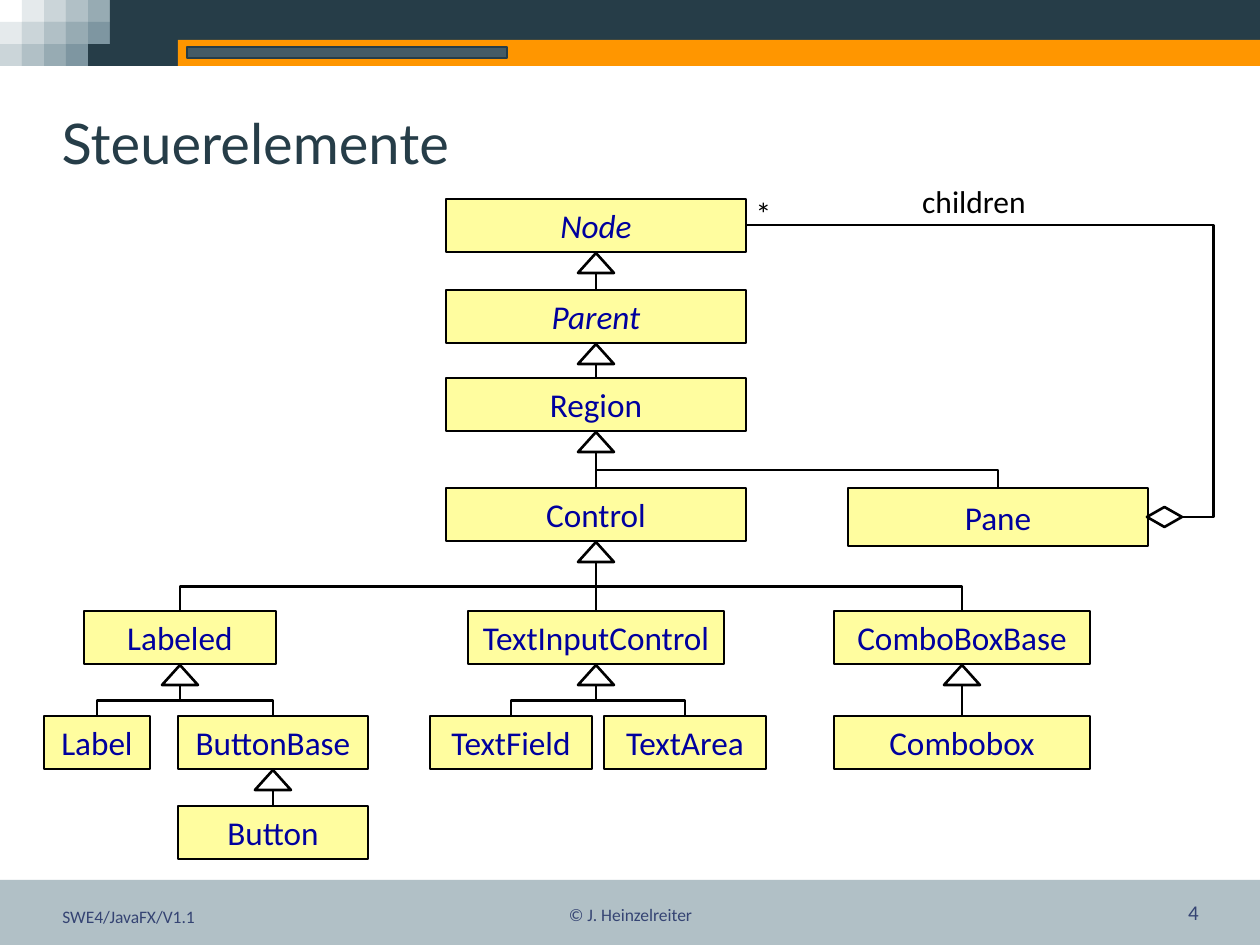
"""Builds the slide with the class hierarchy of the JavaFX controls."""
from dataclasses import dataclass
from itertools import product
from typing import Any, Optional

from lxml.etree import SubElement
from pptx import Presentation
from pptx.dml.color import RGBColor
from pptx.enum.shapes import MSO_CONNECTOR, MSO_SHAPE
from pptx.enum.text import MSO_ANCHOR, PP_ALIGN
from pptx.oxml.ns import qn
from pptx.util import Emu, Pt

EMU_PER_PX = 914400 / 126
DARK = RGBColor(0x26, 0x3D, 0x48)
STEEL = RGBColor(0x7E, 0x96, 0xA1)
SLATE = RGBColor(0x44, 0x5B, 0x66)
ORANGE = RGBColor(0xFF, 0x96, 0x00)
YELLOW = RGBColor(0xFF, 0xFD, 0x9F)
NAVY = RGBColor(0x00, 0x00, 0x9E)
FOOTER = RGBColor(0x35, 0x44, 0x73)
BLACK = RGBColor(0x00, 0x00, 0x00)
TILE = 22
ARROW_WIDTH, ARROW_HEIGHT = 36, 20
BOX_HEIGHT = 53


@dataclass(frozen=True)
class ClassBox:
    name: str
    parent: Optional[str]
    left: int
    top: int
    width: int
    height: int = BOX_HEIGHT
    abstract: bool = False

    @property
    def center(self) -> int:
        return self.left + self.width // 2

    @property
    def bottom(self) -> int:
        return self.top + self.height


@dataclass(frozen=True)
class Label:
    text: str
    left: int
    top: int
    width: int
    height: int
    size: int
    color: RGBColor
    align: PP_ALIGN = PP_ALIGN.CENTER
    anchor: MSO_ANCHOR = MSO_ANCHOR.BOTTOM
    wrap: bool = True


CLASSES = [
    ClassBox("Node", None, 446, 199, 300, abstract=True),
    ClassBox("Parent", "Node", 446, 290, 300, abstract=True),
    ClassBox("Region", "Parent", 446, 378, 300),
    ClassBox("Control", "Region", 446, 488, 300),
    ClassBox("Pane", "Region", 848, 488, 300, 58),
    ClassBox("Labeled", "Control", 84, 611, 192),
    ClassBox("TextInputControl", "Control", 468, 611, 256),
    ClassBox("ComboBoxBase", "Control", 834, 611, 256),
    ClassBox("Label", "Labeled", 44, 716, 106),
    ClassBox("ButtonBase", "Labeled", 178, 716, 190),
    ClassBox("TextField", "TextInputControl", 430, 716, 162),
    ClassBox("TextArea", "TextInputControl", 604, 716, 162),
    ClassBox("Combobox", "ComboBoxBase", 834, 716, 256),
    ClassBox("Button", "ButtonBase", 178, 806, 190),
]

LABELS = [
    Label("4", 917, 893, 294, 38, 12, FOOTER, PP_ALIGN.RIGHT),
    Label("SWE4/JavaFX/V1.1", 50, 893, 294, 40, 10, FOOTER, PP_ALIGN.LEFT),
    Label("© J. Heinzelreiter", 431, 893, 399, 38, 10, FOOTER),
    Label("children", 895, 176, 158, 50, 18, BLACK, anchor=MSO_ANCHOR.TOP),
    Label("*", 755, 188, 13, 50, 18, BLACK, anchor=MSO_ANCHOR.TOP, wrap=False),
]


def px(*lengths: float) -> list[Emu]:
    """Turn pixel lengths into EMU."""
    return [Emu(round(length * EMU_PER_PX)) for length in lengths]


def set_attributes(target: Any, values: dict[str, Any]) -> None:
    """Set each named attribute on the target."""
    for name, value in values.items():
        setattr(target, name, value)


def set_text(shape: Any, text: str, color: RGBColor, align: PP_ALIGN,
             frame_format: dict[str, Any], font_format: dict[str, Any]) -> None:
    """Write one formatted paragraph into a shape."""
    set_attributes(shape.text_frame, frame_format)
    paragraph = shape.text_frame.paragraphs[0]
    paragraph.alignment = align
    run = paragraph.add_run()
    run.text = text
    set_attributes(run.font, font_format)
    run.font.color.rgb = color


def add_block(slide: Any, kind: MSO_SHAPE, bounds: tuple[int, int, int, int],
              fill: Optional[RGBColor], line: Optional[RGBColor] = None,
              line_width: float = 1.5, opacity: int = 100) -> Any:
    """Add a preset shape with flat fill and line."""
    shape = slide.shapes.add_shape(kind, *px(*bounds))
    shape.shadow.inherit = False
    if fill is None:
        shape.fill.background()
    else:
        shape.fill.solid()
        shape.fill.fore_color.rgb = fill
    if opacity < 100:
        color = shape.fill._xPr.find(".//" + qn("a:srgbClr"))
        SubElement(color, qn("a:alpha"), val=str(opacity * 1000))
    if line is None:
        shape.line.fill.background()
    else:
        shape.line.color.rgb = line
        shape.line.width = Pt(line_width)
    return shape


def add_line(slide: Any, kind: MSO_CONNECTOR, *ends: float) -> Any:
    """Add a black connector between two points."""
    connector = slide.shapes.add_connector(kind, *px(*ends))
    connector.line.color.rgb = BLACK
    connector.line.width = Pt(1.5)
    SubElement(connector._element.spPr, qn("a:effectLst"))
    return connector


def add_inheritance(slide: Any, parent: ClassBox, child: ClassBox, child_shape: Any) -> None:
    """Join a child class to the arrowhead below its parent."""
    start = parent.bottom + 1 + ARROW_HEIGHT
    if parent.center == child.center:
        connector = add_line(slide, MSO_CONNECTOR.STRAIGHT,
                             parent.center, start, child.center, child.top)
        connector.end_connect(child_shape, 0)
        return
    middle_x, middle_y = (parent.center + child.center) / 2, (start + child.top) / 2
    half_drop, half_span = (child.top - start) / 2, abs(child.center - parent.center) / 2
    rightward = child.center > parent.center
    reach = -half_drop if rightward else half_drop
    connector = add_line(slide, MSO_CONNECTOR.ELBOW, middle_x - reach, middle_y - half_span,
                         middle_x + reach, middle_y + half_span)
    transform = connector._element.spPr.find(qn("a:xfrm"))
    transform.set("rot", str((270 if rightward else 90) * 60000))


def add_class(slide: Any, box: ClassBox) -> Any:
    """Draw one class rectangle with its name."""
    shape = add_block(slide, MSO_SHAPE.RECTANGLE,
                      (box.left, box.top, box.width, box.height), YELLOW, BLACK)
    set_text(shape, box.name, NAVY, PP_ALIGN.CENTER,
             {"word_wrap": False, "vertical_anchor": MSO_ANCHOR.MIDDLE},
             {"name": "Calibri", "size": Pt(19), "italic": box.abstract})
    return shape


def add_hierarchy(slide: Any) -> None:
    """Draw all classes, their inheritance and the children aggregation."""
    boxes = {box.name: box for box in CLASSES}
    shapes = {box.name: add_class(slide, box) for box in CLASSES}
    for name in dict.fromkeys(box.parent for box in CLASSES if box.parent):
        parent = boxes[name]
        arrow = add_block(slide, MSO_SHAPE.UP_ARROW,
                          (parent.center - ARROW_WIDTH // 2, parent.bottom + 1,
                           ARROW_WIDTH, ARROW_HEIGHT), None, BLACK)
        arrow.adjustments[0], arrow.adjustments[1] = 0, 1
    for box in CLASSES:
        if box.parent:
            add_inheritance(slide, boxes[box.parent], box, shapes[box.name])
    add_block(slide, MSO_SHAPE.FLOWCHART_DECISION, (1147, 507, 35, 20), None, BLACK)
    children = add_line(slide, MSO_CONNECTOR.ELBOW, 1182, 517, 746, 225)
    adjustments = children._element.spPr.find(".//" + qn("a:avLst"))
    SubElement(adjustments, qn("a:gd"), name="adj1", fmla="val -7200")


def add_decoration(slide: Any) -> None:
    """Draw the mosaic and the header and footer bars."""
    for column, row in product(range(5), range(3)):
        level = column + row
        if level:
            add_block(slide, MSO_SHAPE.RECTANGLE, (column * TILE, row * TILE, TILE, TILE),
                      DARK if level == 6 else STEEL, opacity=min(level * 20, 100))
    add_block(slide, MSO_SHAPE.RECTANGLE, (0, 880, 1260, 65), STEEL, opacity=60)
    add_block(slide, MSO_SHAPE.RECTANGLE, (110, 0, 1150, 66), DARK)
    add_block(slide, MSO_SHAPE.RECTANGLE, (178, 40, 1082, 26), ORANGE)
    add_block(slide, MSO_SHAPE.RECTANGLE, (187, 47, 320, 11), SLATE, DARK, 1)


def main() -> None:
    """Build and save the presentation."""
    presentation = Presentation()
    presentation.slide_width, presentation.slide_height = px(1260, 945)
    slide = presentation.slides.add_slide(presentation.slide_layouts[5])
    add_decoration(slide)
    title = slide.shapes.title
    set_attributes(title, dict(zip(("left", "top", "width", "height"), px(49, 96, 1162, 92))))
    set_text(title, "Steuerelemente", DARK, PP_ALIGN.LEFT,
             {"vertical_anchor": MSO_ANCHOR.MIDDLE}, {"name": "Lato", "size": Pt(32)})
    add_hierarchy(slide)
    for label in LABELS:
        text_box = slide.shapes.add_textbox(*px(label.left, label.top, label.width, label.height))
        set_text(text_box, label.text, label.color, label.align,
                 {"word_wrap": label.wrap, "vertical_anchor": label.anchor},
                 {"name": "Calibri", "size": Pt(label.size)})
    presentation.save("out.pptx")


if __name__ == "__main__":
    main()
